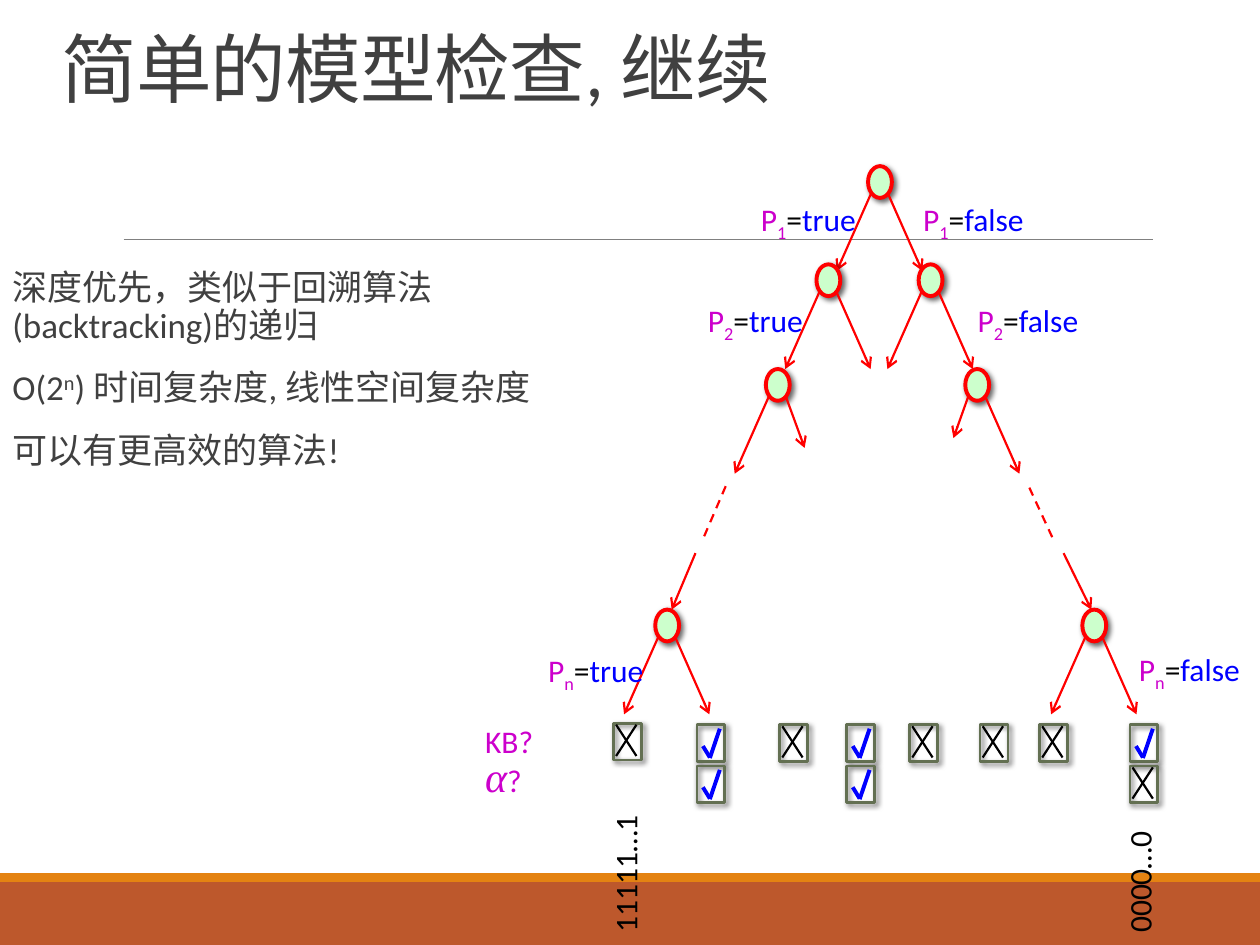
from lxml.etree import SubElement as Sub
from pptx import Presentation
from pptx.dml.color import RGBColor
from pptx.enum.dml import MSO_LINE as Dash
from pptx.enum.shapes import MSO_CONNECTOR as Link, MSO_SHAPE as Shape
from pptx.enum.text import MSO_ANCHOR as Anchor, MSO_AUTO_SIZE as Auto
from pptx.oxml.ns import qn
from pptx.util import Cm, Pt

RUST = RGBColor(0xBD, 0x58, 0x2C)
AMBER = RGBColor(0xE4, 0x83, 0x12)
GRAY = RGBColor(0x80, 0x80, 0x80)
DARK = RGBColor(0x40, 0x40, 0x40)
RED = RGBColor(0xFF, 0x00, 0x00)
MINT = RGBColor(0xCC, 0xFF, 0xCC)
PINK = RGBColor(0xCC, 0x00, 0xCC)
BLUE = RGBColor(0x00, 0x00, 0xFF)
BLACK = RGBColor(0x00, 0x00, 0x00)
OLIVE = RGBColor(0x63, 0x70, 0x52)

deck = Presentation()
deck.slide_width, deck.slide_height = Cm(25.4), Cm(19.05)
slide = deck.slides.add_slide(deck.slide_layouts[6])
shapes = slide.shapes


def line(x1, y1, x2, y2, color=RED, width=1.25, arrow=False):
    link = shapes.add_connector(Link.STRAIGHT, Cm(x1), Cm(y1), Cm(x2), Cm(y2))
    link.line.color.rgb = color
    link.line.width = Pt(width)
    if arrow:
        Sub(link.line._get_or_add_ln(), qn("a:tailEnd"), type="arrow")
    Sub(link._element.spPr, qn("a:effectLst"))
    return link


def text(x, y, w, h, paras, size=18, color=BLACK, wrap=False):
    box = shapes.add_textbox(Cm(x), Cm(y), Cm(w), Cm(h))
    frame = box.text_frame
    frame.word_wrap = wrap
    frame.auto_size = Auto.NONE if wrap else Auto.SHAPE_TO_FIT_TEXT
    for i, runs in enumerate(paras):
        par = frame.add_paragraph() if i else frame.paragraphs[0]
        par.font.name = "Calibri"
        par.font.size = Pt(size)
        par.font.color.rgb = color
        for words, tint, base in runs:
            run = par.add_run()
            run.text = words
            if tint:
                run.font.color.rgb = tint
            if base:
                run._r.get_or_add_rPr().set("baseline", str(base * 1000))
    return box


for y, h, color in [(17.78, 1.27, RUST), (17.6, 0.18, AMBER)]:
    band = shapes.add_shape(Shape.RECTANGLE, 0, Cm(y), Cm(25.4), Cm(h))
    band.shadow.inherit = False
    band.fill.solid()
    band.fill.fore_color.rgb = color
    band.line.fill.background()
line(2.49, 4.83, 23.24, 4.83, GRAY, 0.5)

title = text(0.99, 0.61, 22.86, 1.8, [[("简单的模型检查, 继续", None, 0)]], 43.2, DARK, True)
title.text_frame.vertical_anchor = Anchor.BOTTOM
head = title.text_frame.paragraphs[0]
head.line_spacing = 0.85
head.runs[0]._r.get_or_add_rPr().set("spc", "-50")

body = text(0, 5.33, 12.85, 4.6, [
    [("深度优先，类似于回溯算法 (backtracking)的递归", None, 0)],
    [("O(2", None, 0), ("n", None, 30), (") 时间复杂度, 线性空间复杂度", None, 0)],
    [("可以有更高效的算法!", None, 0)],
], 20, DARK, True).text_frame
body.margin_left = body.margin_right = 0
for par in body.paragraphs:
    par.line_spacing = 0.9
    par.space_before, par.space_after = Pt(12), Pt(2)
    par._p.get_or_add_pPr().set("marL", str(Cm(0.25)))

raised = []
FALL = (0.69, 1.56)
nodes = [
    (17.5, 3.35, FALL, FALL),
    (16.46, 5.33, FALL, FALL),
    (18.52, 5.33, FALL, FALL),
    (15.44, 7.44, FALL, (0.38, 1.04)),
    (19.46, 7.44, (0.3, 0.84), FALL),
    (13.21, 12.29, FALL, FALL),
    (21.82, 12.29, FALL, FALL),
]
for x, y, left, right in nodes:
    node = shapes.add_shape(Shape.OVAL, Cm(x), Cm(y), Cm(0.48), Cm(0.64))
    node.fill.solid()
    node.fill.fore_color.rgb = MINT
    node.line.color.rgb = RED
    node.line.width = Pt(2.25)
    raised.append(node)
    for start, side, (dx, dy) in [(x + 0.06, -1, left), (x + 0.4, 1, right)]:
        line(start, y + 0.55, start + side * dx, y + 0.55 + dy, arrow=True)

line(14.02, 11.15, 13.54, 12.29, arrow=True)
line(21.44, 11.15, 22, 12.29, arrow=True)
for ends in [(14.63, 9.8, 14.17, 10.87), (20.75, 9.83, 21.23, 10.87)]:
    line(*ends).line.dash_style = Dash.DASH

labels = [
    (15.09, 3.91, "1", "true"), (18.36, 3.91, "1", "false"),
    (14.02, 5.94, "2", "true"), (19.46, 5.94, "2", "false"),
    (22.71, 12.98, "n", "false"), (10.8, 13, "n", "true"),
]
for x, y, sub, value in labels:
    runs = [("P", PINK, 0), (sub, PINK, -25), ("=", BLACK, 0), (value, BLUE, 0)]
    text(x, y, 2.67 if value == "true" else 2.9, 1.02, [runs])

for x, y, w, bits in [(11.05, 16.99, 3.1, "11111…1"), (21.49, 17.07, 2.95, "0000…0")]:
    text(x, y, w, 1.02, [[(bits, None, 0)]]).rotation = 270

ROW, LOW = 14.61, 15.44
boxes = [
    (12.37, 14.58, False), (14.05, ROW, True), (15.72, ROW, False),
    (17.07, ROW, True), (18.34, ROW, False), (19.76, ROW, False),
    (20.96, ROW, False), (22.78, ROW, True),
    (14.05, LOW, True), (17.07, LOW, True), (22.78, LOW, False),
]
TICK = [(0.12, 0.43, 0.26, 0.66), (0.26, 0.67, 0.46, 0.08)]
CROSS = [(0.05, 0.03, 0.46, 0.66), (0.46, 0.03, 0.05, 0.66)]
for x, y, holds in boxes:
    box = shapes.add_shape(Shape.RECTANGLE, Cm(x), Cm(y), Cm(0.56), Cm(0.74))
    box.fill.background()
    box.line.color.rgb = OLIVE
    box.line.width = Pt(1.5)
    raised.append(box)
    color, width = (BLUE, 2.25) if holds else (BLACK, 1.25)
    for x1, y1, x2, y2 in TICK if holds else CROSS:
        line(x + x1, y + y1, x + x2, y + y2, color, width)

for item in raised:
    item.shadow.inherit = False
    glow = Sub(item._element.spPr.find(qn("a:effectLst")), qn("a:outerShdw"),
               blurRad=str(Pt(3)), dist=str(Pt(2)), dir="2700000", rotWithShape="0")
    Sub(Sub(glow, qn("a:srgbClr"), val="000000"), qn("a:alpha"), val="60000")

text(9.53, 14.43, 1.73, 1.02, [[("KB?", None, 0)]], color=PINK)
goal = text(9.53, 15.01, 1.32, 1.27, [[("α", None, 0), ("?", None, 0)]], color=PINK)
alpha = goal.text_frame.paragraphs[0].runs[0].font
alpha.name, alpha.size, alpha.italic = "Times New Roman", Pt(24), True

deck.save("out.pptx")
